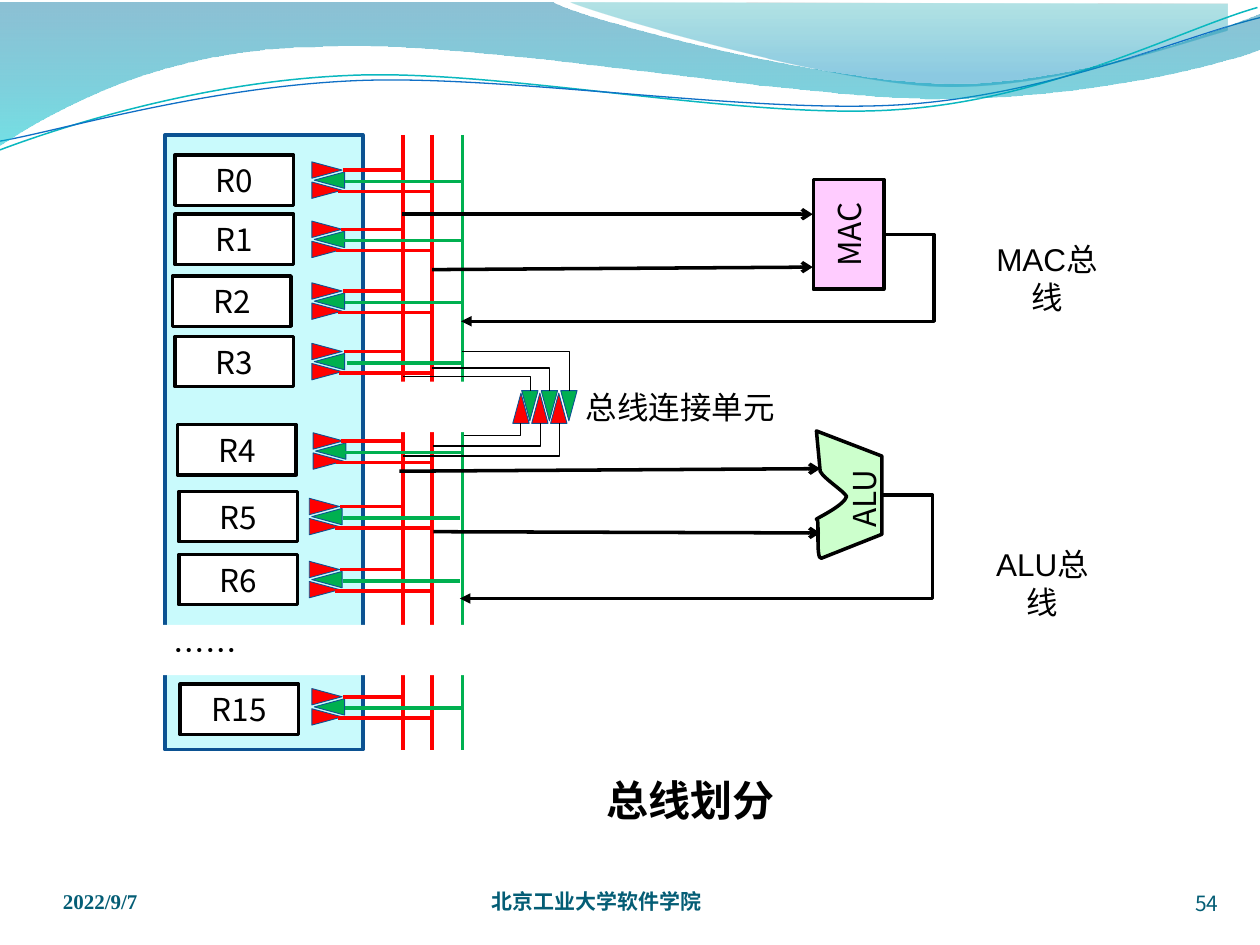
from lxml import etree
from pptx import Presentation
from pptx import util as u
from pptx.dml.color import RGBColor
from pptx.enum import shapes, text
from pptx.oxml import ns

BLACK = RGBColor(0, 0, 0)
WHITE = RGBColor(0xFF, 0xFF, 0xFF)
RED = RGBColor(0xFF, 0, 0)
GREEN = RGBColor(0, 0xB0, 0x50)
EDGE = RGBColor(0x0B, 0x52, 0x92)
PANEL = RGBColor(0xC9, 0xFA, 0xFC)
PINK = RGBColor(0xFF, 0xCC, 0xFF)
LIME = RGBColor(0xCC, 0xFF, 0xCC)
FOOT = RGBColor(0x04, 0x5D, 0x75)
TEAL = RGBColor(0x0A, 0xB8, 0xBF)
BLUE = RGBColor(0x0F, 0x6F, 0xC6)

NOTO = "Noto Sans CJK SC"
KIND = shapes.MSO_SHAPE
JOIN = shapes.MSO_CONNECTOR
TOP, MID, LOW = (text.MSO_ANCHOR.TOP, text.MSO_ANCHOR.MIDDLE,
                 text.MSO_ANCHOR.BOTTOM)
LEFT, MIDST, RIGHT = (text.PP_ALIGN.LEFT, text.PP_ALIGN.CENTER,
                      text.PP_ALIGN.RIGHT)

# name, box left, box top, buffer left, buffer top, wire left
ROWS = [
    ("R0", 1.39, 1.23, 2.53, 1.23, 2.72),
    ("R1", 1.39, 1.70, 2.53, 1.70, 2.71),
    ("R2", 1.37, 2.19, 2.53, 2.19, 2.72),
    ("R3", 1.39, 2.67, 2.53, 2.67, 2.73),
    ("R4", 1.41, 3.37, 2.54, 3.38, 2.71),
    ("R5", 1.42, 3.90, 2.51, 3.90, 2.70),
    ("R6", 1.42, 4.40, 2.51, 4.40, 2.70),
    ("R15", 1.43, 5.43, 2.53, 5.41, 2.72),
]


def sub(node, tag, **attrs):
    return etree.SubElement(node, ns.qn(tag), **attrs)


def paint(shape, fill, edge, width):
    shape.shadow.inherit = False
    if fill is None:
        shape.fill.background()
    else:
        shape.fill.solid()
        shape.fill.fore_color.rgb = fill
    if edge is None:
        shape.line.fill.background()
    else:
        shape.line.color.rgb = edge
        shape.line.width = u.Pt(width)


def write(shape, words, size=18, font=NOTO, color=BLACK, bold=False,
          align=MIDST, anchor=MID, wrap=True, pad=None):
    frame = shape.text_frame
    frame.word_wrap = wrap
    frame.vertical_anchor = anchor
    if pad is not None:
        (frame.margin_left, frame.margin_top, frame.margin_right,
         frame.margin_bottom) = [u.Inches(side) for side in pad]
    para = frame.paragraphs[0]
    para.alignment = align
    run = para.add_run()
    run.text = words
    run.font.size = u.Pt(size)
    run.font.name = font
    run.font.bold = bold
    run.font.color.rgb = color
    east = font if font != "Arial" else NOTO
    sub(run._r.get_or_add_rPr(), "a:ea", typeface=east)


def label(slide, words, x, y, w, h, **style):
    box = slide.shapes.add_textbox(*map(u.Inches, (x, y, w, h)))
    write(box, words, **style)


def block(slide, x, y, w, h, fill, edge=None, width=2, turn=0,
          kind=KIND.RECTANGLE):
    shape = slide.shapes.add_shape(kind, *map(u.Inches, (x, y, w, h)))
    shape.rotation = turn
    paint(shape, fill, edge, width)
    return shape


def gate(slide, x, y, fill, turn=0):
    block(slide, x, y, 0.13, 0.24, fill, EDGE, 0.5, turn,
          KIND.ISOSCELES_TRIANGLE)


def wire(slide, start, end, color=BLACK, width=2, head=None, bend=None):
    """Straight wire, or a bent one: bend is "corner" or an offset."""
    kind = JOIN.STRAIGHT if bend is None else JOIN.ELBOW
    link = slide.shapes.add_connector(kind, *map(u.Inches, start + end))
    link.line.color.rgb = color
    link.line.width = u.Pt(width)
    props = link._element.spPr
    if head:
        sub(props.find(ns.qn("a:ln")), "a:tailEnd", type=head)
    sub(props, "a:effectLst")
    geom = props.find(ns.qn("a:prstGeom"))
    if bend == "corner":
        geom.set("prst", "bentConnector2")
    elif bend is not None:
        sub(geom.find(ns.qn("a:avLst")), "a:gd", name="adj1",
            fmla=f"val {round(bend * 100000)}")


def outline(slide, steps, fill=None, edge=None, width=2, close=True):
    """Steps of two numbers are points, steps of six are cubic curves."""
    spots = [tuple(map(u.Inches, step[i:i + 2]))
             for step in steps for i in range(0, len(step), 2)]
    pen = slide.shapes.build_freeform(*spots[0])
    pen.add_line_segments(spots[1:], close=close)
    shape = pen.convert_to_shape()
    legs = iter(list(shape._element.spPr.iter(ns.qn("a:lnTo"))))
    for step in steps[1:]:
        leg = next(legs)
        if len(step) == 6:
            leg.tag_name = None
            curve = etree.Element(ns.qn("a:cubicBezTo"))
            leg.addprevious(curve)
            for part in (leg, next(legs), next(legs)):
                curve.append(part[0])
                part.getparent().remove(part)
    paint(shape, fill, edge, width)
    return shape


def fade(shape, *stops):
    shape.fill.gradient()
    shape.fill.gradient_angle = 270
    for stop, (place, color, _) in zip(shape.fill.gradient_stops, stops):
        stop.position = place
        stop.color.rgb = RGBColor.from_string(color)
    tints = shape._element.spPr.iter(ns.qn("a:srgbClr"))
    for tint, (_, _, alpha) in zip(list(tints), stops):
        sub(tint, "a:alpha", val=str(alpha * 1000))


def waves(slide):
    crest = outline(slide, [
        (4.53, 0.02), (4.83, 0.14, 6.56, 0.64, 7.42, 0.68),
        (8.29, 0.72, 9.35, 0.35, 9.74, 0.24), (9.74, 0.03)])
    fade(crest, (0, "00A1A9", 30), (0.8, "008BBF", 45))
    outline(slide, [
        (0, 1.19), (0.48, 1.01, 1.58, 0.65, 2.76, 0.6),
        (3.95, 0.54, 5.92, 0.96, 7.13, 0.87),
        (8.33, 0.79, 9.38, 0.23, 9.98, 0.06)], None, TEAL, 0.85, False)
    outline(slide, [
        (0, 1.12), (0.47, 1.04, 1.63, 0.69, 2.83, 0.64),
        (4.02, 0.59, 5.97, 0.91, 7.17, 0.83),
        (8.36, 0.75, 9.41, 0.28, 10, 0.14)], None, BLUE, 0.75, False)
    sweep = outline(slide, [
        (-0.01, 0.02), (4.39, 0.02), (4.75, 0.19, 6.62, 0.66, 7.57, 0.66),
        (8.52, 0.66, 9.57, 0.28, 9.99, 0.11), (10, 0.39),
        (9.82, 0.47, 8.69, 0.78, 7.45, 0.78),
        (6.21, 0.78, 3.81, 0.31, 2.56, 0.37),
        (1.28, 0.38, 0.45, 0.86, -0.02, 1.16)])
    fade(sweep, (0, "0074A1", 45), (1, "00C6CF", 55))


def row(slide, name, x, y, gx, gy, wx):
    write(block(slide, x, y, 0.94, 0.4, WHITE, BLACK), name)
    gate(slide, gx, gy, RED, 90)
    gate(slide, gx, gy + 0.16, RED, 90)
    gate(slide, gx + 0.02, gy + 0.08, GREEN, 270)
    for dx, dy, size, color in ((0, 0.12, 0.48, RED), (-0.04, 0.29, 0.75, RED),
                                (0.02, 0.21, 0.93, GREEN)):
        wire(slide, (wx + dx, gy + dy), (wx + dx + size, gy + dy), color)


def bridge(slide):
    for i in range(3):
        gate(slide, 4.07 + 0.15 * i, 3.12, RED)
        gate(slide, 4.14 + 0.155 * i, 3.1, GREEN, 180)
    for start, end in (
            ((3.67, 2.79), (4.52, 3.1)), ((3.43, 2.92), (4.36, 3.1)),
            ((3.2, 2.99), (4.21, 3.1)), ((3.68, 3.46), (4.13, 3.36)),
            ((3.44, 3.54), (4.29, 3.36)), ((3.2, 3.62), (4.44, 3.36))):
        wire(slide, start, end, width=0.75, bend="corner")
    label(slide, "总线连接单元", 4.54, 3.03, 1.72, 0.4, font="Arial", wrap=False)


def units(slide):
    write(block(slide, 6.3, 1.58, 0.87, 0.56, PINK, BLACK, turn=270), "MAC")
    # Drawn lying down, then turned upright
    alu = outline(slide, [
        (6.24, 3.72), (6.22, 3.67, 6.57, 3.71, 6.55, 3.68),
        (6.56, 3.69, 6.66, 3.9, 6.73, 3.92),
        (6.78, 3.89, 6.87, 3.74, 6.93, 3.71),
        (7.25, 3.68), (7.05, 4.2), (6.43, 4.2)], LIME, BLACK)
    alu.rotation = 270
    write(alu, "ALU", anchor=TOP, pad=(0.1, 0.24, 0.14, 0))
    for start, end in (((3.19, 1.7), (6.45, 1.7)), ((3.43, 2.14), (6.45, 2.12)),
                       ((3.17, 3.74), (6.51, 3.72)),
                       ((3.44, 4.22), (6.51, 4.23))):
        wire(slide, start, end, head="arrow")
    for start, end in (((7.01, 1.86), (3.66, 2.55)), ((7, 3.93), (3.65, 4.75))):
        wire(slide, start, end, head="triangle", bend=-0.12)
    for words, y, w in (("MAC总线", 1.86, 1.27), ("ALU总线", 4.28, 1.2)):
        label(slide, words, 7.78, y, w, 0.4, font="Arial", anchor=TOP,
              pad=(0.05, 0.05, 0.26, 0.05))


def main():
    deck = Presentation()
    deck.slide_width, deck.slide_height = u.Inches(10), u.Inches(7.5)
    slide = deck.slides.add_slide(deck.slide_layouts[6])
    waves(slide)

    # Footer
    foot = dict(size=12, color=FOOT, anchor=LOW, pad=(0, 0, 0, 0))
    label(slide, "2022/9/7", 0.5, 6.88, 2.33, 0.37, font="Times New Roman",
          bold=True, align=LEFT, **foot)
    label(slide, "北京工业大学软件学院", 3.9, 6.88, 3.67, 0.37, bold=True,
          align=LEFT, **foot)
    label(slide, "54", 8.84, 6.9, 0.83, 0.37, align=RIGHT, **foot)

    # Register file and buses
    block(slide, 1.31, 1.07, 1.57, 4.88, PANEL, EDGE)
    label(slide, "总线划分", 0.98, 6.1, 9, 0.39, size=24, bold=True, anchor=TOP)
    for x, color in ((3.2, RED), (3.43, RED), (3.67, GREEN)):
        wire(slide, (x, 1.07), (x, 5.95), color)
    for item in ROWS:
        row(slide, *item)

    # Gaps in the panel and the buses
    write(block(slide, 1.17, 4.96, 2.68, 0.4, WHITE), "……", align=LEFT,
          pad=(0.21, 0.05, 0.1, 0.05))
    block(slide, 3.12, 3.03, 0.7, 0.4, WHITE)

    units(slide)
    bridge(slide)
    deck.save("out.pptx")


if __name__ == "__main__":
    main()
